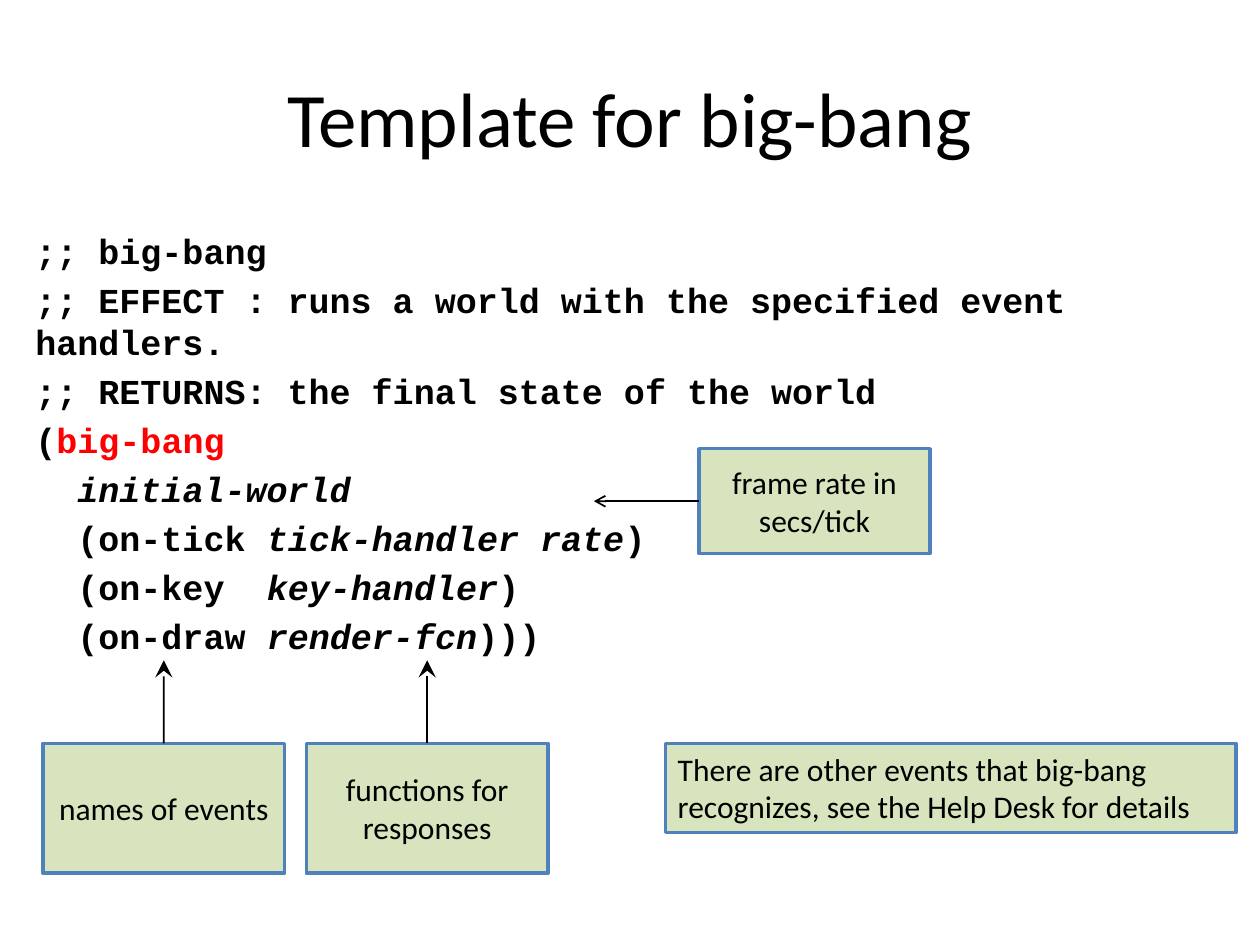
from lxml.etree import SubElement
from pptx import Presentation
from pptx.dml.color import RGBColor
from pptx.enum.shapes import MSO_CONNECTOR, MSO_SHAPE
from pptx.enum.text import MSO_ANCHOR, MSO_AUTO_SIZE, PP_ALIGN
from pptx.oxml.ns import qn
from pptx.util import Pt

BLACK, RED, GREEN, BLUE = "000000", "FF0000", "D7E4BD", "4F81BD"
TOP, LEFT = 0, 1
ITALIC = {"italic": True}
CODE_LINES = [
    [(";; big-bang", {})],
    [(";; EFFECT : runs a world with the specified event handlers.", {})],
    [(";; RETURNS: the final state of the world", {})],
    [("(", {}), ("big-bang", {"color": RED})],
    [("  ", {}), ("initial-world", ITALIC)],
    [("  (on-tick ", {}), ("tick-handler rate", ITALIC), (")", {})],
    [("  (on-key  ", {}), ("key-handler", ITALIC), (")", {})],
    [("  (on-draw ", {}), ("render-fcn", ITALIC), (")))", {})],
]


def rgb(value):
    """Turn a hex string into a colour."""
    return RGBColor.from_string(value)


def add_text(para, text, size=18, font="Calibri", color=BLACK, bold=False, italic=False):
    """Append one formatted span to a paragraph."""
    span = para.add_run()
    span.text = text
    span.font.size = Pt(size)
    span.font.name = font
    span.font.color.rgb = rgb(color)
    span.font.bold = bold
    span.font.italic = italic


def place(shape, box):
    """Move a shape to a box given in points."""
    shape.left, shape.top, shape.width, shape.height = map(Pt, box)


def fill_title(title, box, text):
    """Place the title and write its text."""
    place(title, box)
    para = title.text_frame.paragraphs[0]
    para.alignment = PP_ALIGN.CENTER
    add_text(para, text, size=44)


def fill_code(body, box, lines):
    """Place the body and write the code lines without bullets."""
    place(body, box)
    frame = body.text_frame
    for index, spans in enumerate(lines):
        para = frame.add_paragraph() if index else frame.paragraphs[0]
        properties = para._p.get_or_add_pPr()
        properties.set("marL", "0")
        properties.set("indent", "0")
        SubElement(properties, qn("a:buNone"))
        for text, style in spans:
            add_text(para, text, size=20, font="Courier New", bold=True, **style)


def add_note(shapes, box, text, align=PP_ALIGN.CENTER, anchor=MSO_ANCHOR.MIDDLE):
    """Add a green note rectangle with text."""
    note = shapes.add_shape(MSO_SHAPE.RECTANGLE, *map(Pt, box))
    note.shadow.inherit = False
    note.fill.solid()
    note.fill.fore_color.rgb = rgb(GREEN)
    note.line.color.rgb = rgb(BLUE)
    note.line.width = Pt(2)
    frame = note.text_frame
    frame.word_wrap = True
    frame.vertical_anchor = anchor
    frame.paragraphs[0].alignment = align
    add_text(frame.paragraphs[0], text)
    return note


def add_callout(page, box, text, side, length, head, head_size):
    """Group a note with an arrow leaving the middle of one side."""
    left, top, width, height = box
    if side == TOP:
        start = left + width / 2, top
        end = start[0], top - length
    else:
        start = left, top + height / 2
        end = left - length, start[1]
    shapes = page.shapes.add_group_shape().shapes
    note = add_note(shapes, box, text)
    arrow = shapes.add_connector(MSO_CONNECTOR.STRAIGHT, *map(Pt, start + end))
    arrow.begin_connect(note, side)
    arrow.line.color.rgb = rgb(BLACK)
    arrow.line.width = Pt(1)
    SubElement(arrow.line._get_or_add_ln(), qn("a:tailEnd"), type=head, w=head_size, len=head_size)
    SubElement(arrow._element.spPr, qn("a:effectLst"))


def build_slide(deck):
    """Build the template slide with code and callouts."""
    page = deck.slides.add_slide(deck.slide_layouts[1])
    fill_title(page.shapes.title, (36, 21.6, 648, 90), "Template for big-bang")
    fill_code(page.placeholders[1], (13, 127.4, 684, 356.4), CODE_LINES)

    row_top, width, pitch = 424.8, 138.2, 150.5
    for index, text in enumerate(("names of events", "functions for responses")):
        box = (24.5 + index * pitch, row_top, width, 74.2)
        add_callout(page, box, text, TOP, 47.5, "stealth", "lg")
    add_callout(page, (399.4, 256.4, 132, 60), "frame rate in secs/tick", LEFT, 60, "arrow", "med")

    note = add_note(
        page.shapes,
        (380.2, row_top, 326.2, 51),
        "There are other events that big-bang recognizes, see the Help Desk for details",
        align=PP_ALIGN.LEFT,
        anchor=MSO_ANCHOR.TOP,
    )
    note.text_frame.auto_size = MSO_AUTO_SIZE.SHAPE_TO_FIT_TEXT


def main():
    """Create and save the deck."""
    deck = Presentation()
    deck.slide_width, deck.slide_height = Pt(720), Pt(540)
    build_slide(deck)
    deck.save("out.pptx")


if __name__ == "__main__":
    main()
